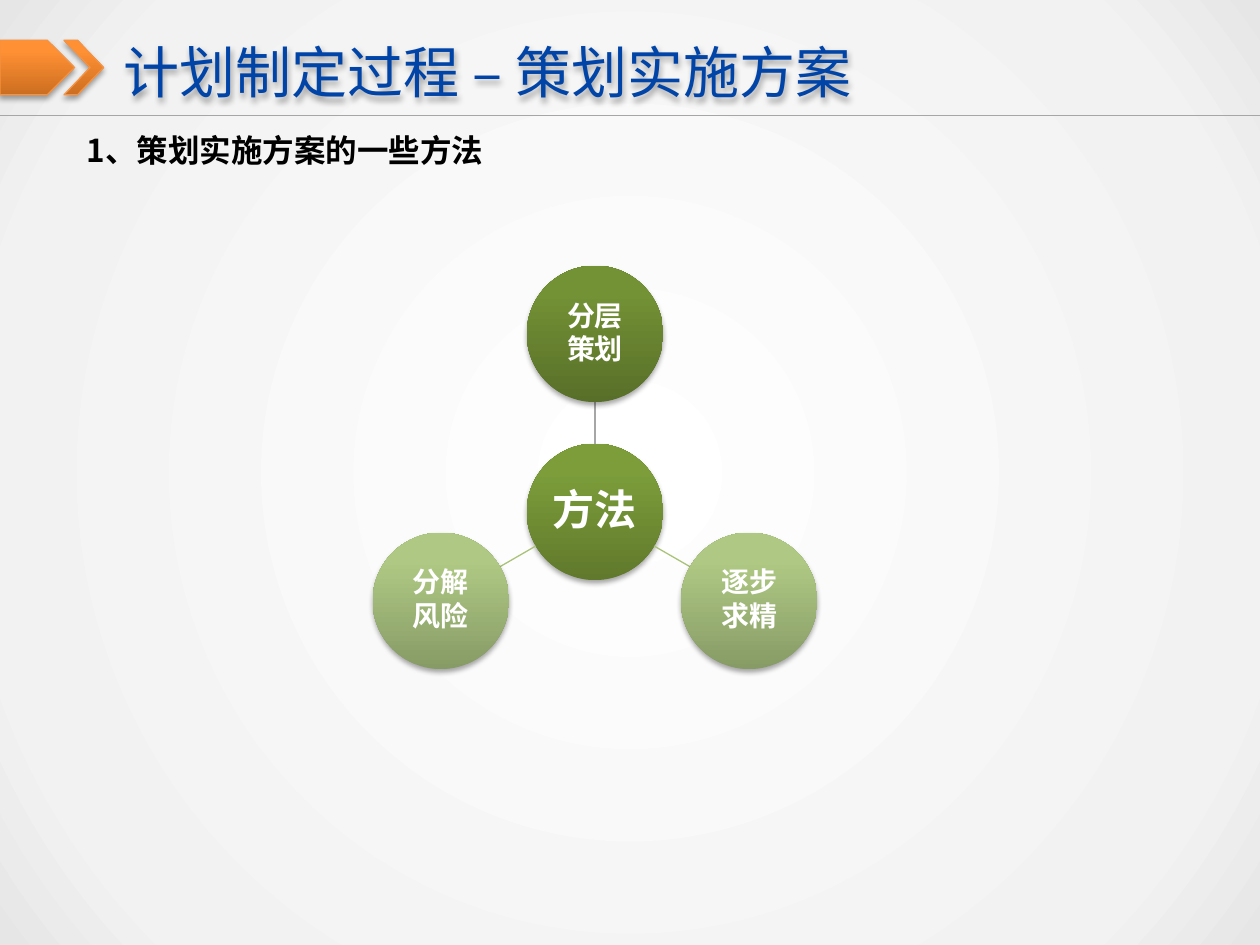
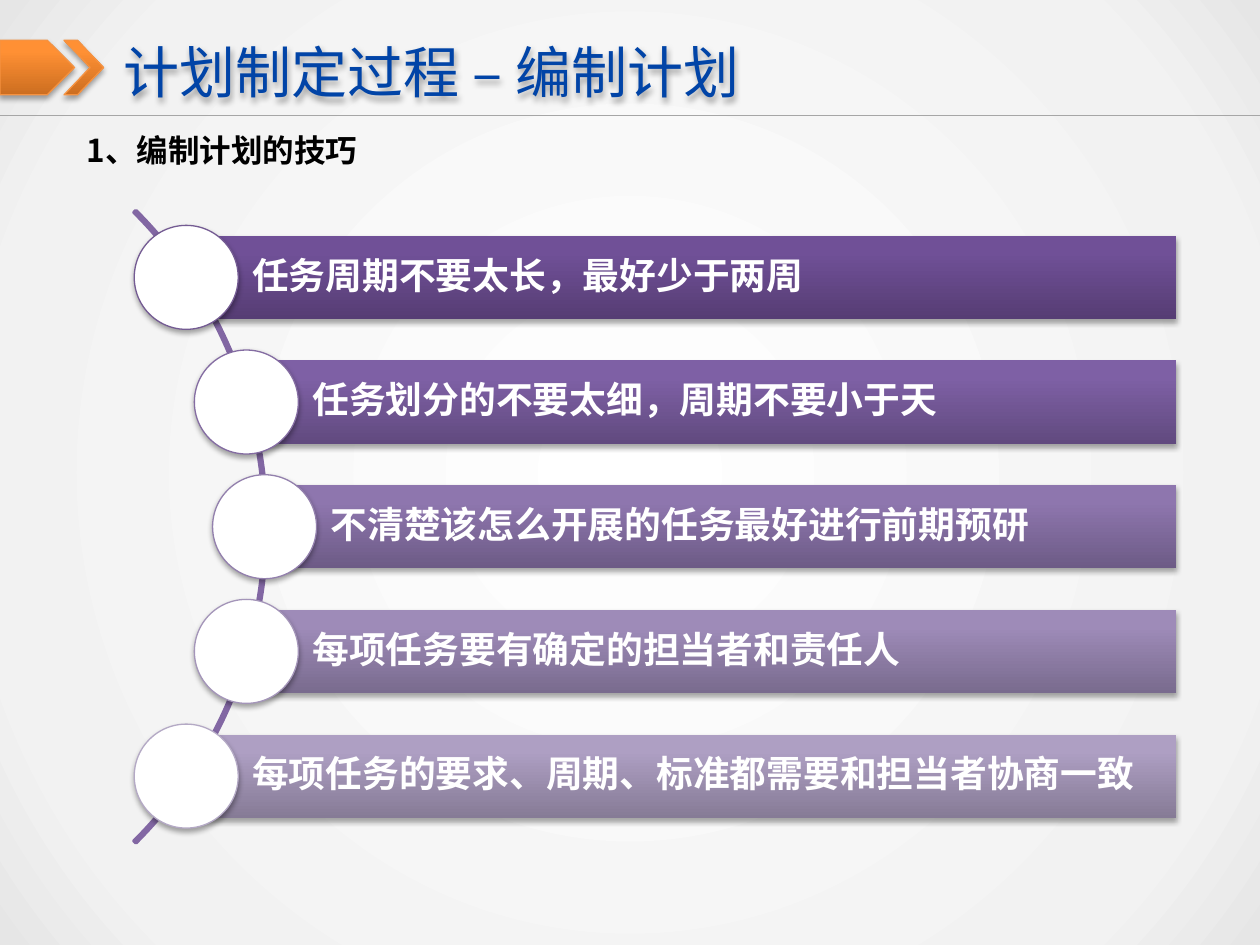
from math import cos, hypot, radians, sin, sqrt

from lxml import etree
from pptx import Presentation
from pptx.dml.color import RGBColor
from pptx.enum.shapes import MSO_CONNECTOR, MSO_SHAPE
from pptx.enum.text import MSO_ANCHOR, MSO_AUTO_SIZE, PP_ALIGN
from pptx.oxml import parse_xml
from pptx.oxml.ns import qn
from pptx.util import Pt

OVAL, RECT, ARC = MSO_SHAPE.OVAL, MSO_SHAPE.RECTANGLE, MSO_SHAPE.BLOCK_ARC
PENTAGON, CHEVRON = MSO_SHAPE.PENTAGON, MSO_SHAPE.CHEVRON
STRAIGHT = MSO_CONNECTOR.STRAIGHT
LEFT, CENTER = PP_ALIGN.LEFT, PP_ALIGN.CENTER
MIDDLE, TOP = MSO_ANCHOR.MIDDLE, MSO_ANCHOR.TOP
NO_FIT = MSO_AUTO_SIZE.NONE

NS = 'xmlns:a="http://schemas.openxmlformats.org/drawingml/2006/main"'
FONT = "Noto Sans CJK SC"
WIDTH, HEIGHT = 720, 540
BLUE, ORANGE, RULE, BLACK, WHITE = "0144A7", "F69240", "A6A6A6", "000000", "FFFFFF"
SPOKE, ARC_LINE = "A9C379", "8267A3"
# Gradient colours at 0, 80 and 100 %, from bottom to top
ORANGE_FADE = ("CC6E20", "FF9034", "FF9136")

METHODS = {
    "title": "计划制定过程 – 策划实施方案",
    "heading": "1、策划实施方案的一些方法",
    "hub": ("方法", ("60792C", "7C9D3A", "7D9F38")),
    # text, angle in degrees, gradient, spoke colour
    "satellites": [
        ("分层\n策划", -90, ("586F29", "739135", "749334"), RULE),
        ("逐步\n求精", 30, ("879B66", "AFC984", "B0CB84"), SPOKE),
        ("分解\n风险", 150, ("879B66", "AFC984", "B0CB84"), SPOKE),
    ],
}
TIPS = {
    "title": "计划制定过程 – 编制计划",
    "heading": "1、编制计划的技巧",
    # text, bar gradient, bead outline
    "bars": [
        ("任务周期不要太长，最好少于两周", ("563D74", "705097", "704F99"), "745B93"),
        ("任务划分的不要太细，周期不要小于天", ("614A7F", "7E60A5", "7F60A7"), "846CA2"),
        ("不清楚该怎么开展的任务最好进行前期预研", ("6D5B86", "8E76AE", "8E75B0"), "9380AD"),
        ("每项任务要有确定的担当者和责任人", ("796B8E", "9E8BB8", "9E8BBA"), "A495B9"),
        ("每项任务的要求、周期、标准都需要和担当者协商一致",
         ("867B96", "AE9FC3", "AE9FC4"), "B4A9C5"),
    ],
}


def rgb(color):
    return RGBColor.from_string(color)


def gradient(stops, direction):
    marks = "".join(f'<a:gs pos="{pos * 1000}"><a:srgbClr val="{color}"/></a:gs>'
                    for pos, color in stops)
    return parse_xml(f'<a:gradFill {NS} rotWithShape="1"><a:gsLst>{marks}</a:gsLst>'
                     f'{direction}</a:gradFill>')


def set_background(master):
    """Give every slide a round fade from white to light grey."""
    master.background.fill.solid()
    bg = master.element.xpath(".//p:bg/p:bgPr")[0]
    bg.replace(bg[0], gradient(
        [(0, "FFFFFF"), (82, "F2F2F2"), (100, "E6E6E6")],
        '<a:path path="circle"><a:fillToRect l="50000" t="50000" r="50000" b="50000"/></a:path>'))


def add_shadow(sp):
    sp.shadow.inherit = False
    effects = sp._element.spPr.find(qn("a:effectLst"))
    effects.append(parse_xml(
        f'<a:outerShdw {NS} blurRad="40000" dist="23000" dir="5400000" rotWithShape="0">'
        '<a:srgbClr val="000000"><a:alpha val="35000"/></a:srgbClr></a:outerShdw>'))


def write(sp, text, size, color, bold=True, align=LEFT, anchor=MIDDLE,
          insets=(7.2, 3.6, 7.2, 3.6), spacing=None, after=0):
    tf = sp.text_frame
    tf.word_wrap = True
    tf.auto_size = NO_FIT
    tf.vertical_anchor = anchor
    tf.margin_left, tf.margin_top, tf.margin_right, tf.margin_bottom = map(Pt, insets)
    for i, line in enumerate(text.split("\n")):
        p = tf.add_paragraph() if i else tf.paragraphs[0]
        p.alignment = align
        p.space_after = Pt(after)
        if spacing:
            p.line_spacing = spacing
        r = p.add_run()
        r.text = line
        r.font.name, r.font.size, r.font.bold = FONT, Pt(size), bold
        r.font.color.rgb = rgb(color)
        etree.SubElement(r._r.rPr, qn("a:ea"), typeface=FONT)


def add_shape(s, kind, x, y, w, h, fill=None, fade=None, line=None, line_width=0.75,
              shadow=True, adjust=()):
    sp = s.shapes.add_shape(kind, Pt(x), Pt(y), Pt(w), Pt(h))
    for i, value in enumerate(adjust):
        sp.adjustments[i] = value
    if fill or fade:
        sp.fill.solid()
        sp.fill.fore_color.rgb = rgb(fill or fade[0])
    else:
        sp.fill.background()
    if fade:
        spPr = sp._element.spPr
        spPr.replace(spPr.find(qn("a:solidFill")),
                     gradient(zip((0, 80, 100), fade), '<a:lin ang="16200000" scaled="0"/>'))
    if line:
        sp.line.color.rgb = rgb(line)
        sp.line.width = Pt(line_width)
    else:
        sp.line.fill.background()
    if shadow:
        add_shadow(sp)
    else:
        sp.shadow.inherit = False
    return sp


def add_circle(s, cx, cy, diameter, **style):
    return add_shape(s, OVAL, cx - diameter / 2, cy - diameter / 2, diameter, diameter, **style)


def add_line(s, x1, y1, x2, y2, color):
    cx = s.shapes.add_connector(STRAIGHT, Pt(x1), Pt(y1), Pt(x2), Pt(y2))
    cx.line.color.rgb = rgb(color)
    cx.line.width = Pt(0.75)
    etree.SubElement(cx._element.spPr, qn("a:effectLst"))


def add_page(prs, content):
    """Add a slide with its title, arrow band, rule and heading."""
    s = prs.slides.add_slide(prs.slide_layouts[5])
    title = s.shapes.title
    title.left, title.top, title.width, title.height = map(Pt, (70.8, 15, 635, 51))
    write(title, content["title"], 32, BLUE, bold=False, insets=(0, 3.6, 0, 3.6))
    add_shadow(title)
    add_shape(s, PENTAGON, 0, 23, 42.6, 31.2, fade=ORANGE_FADE, line=ORANGE)
    add_shape(s, CHEVRON, 36.6, 23, 22.6, 31.2, fade=ORANGE_FADE, line=ORANGE, adjust=[0.66])
    add_line(s, 0, 66, WIDTH, 66, RULE)
    heading = s.shapes.add_textbox(Pt(42.5), Pt(71.3), Pt(595), Pt(29))
    write(heading, content["heading"], 18, BLACK, anchor=TOP)
    return s


def add_methods(prs):
    s = add_page(prs, METHODS)
    hub_x, hub_y, diameter, orbit = 340, 292.5, 78, 101.7
    label = dict(color=WHITE, align=CENTER, insets=(1, 1, 1, 1), spacing=0.9, after=2)
    text, fade = METHODS["hub"]
    write(add_circle(s, hub_x, hub_y, diameter, fade=fade), text, 24, **label)
    for text, angle, fade, spoke in METHODS["satellites"]:
        dx, dy = cos(radians(angle)), sin(radians(angle))
        near, far = diameter / 2, orbit - diameter / 2
        add_line(s, hub_x + near * dx, hub_y + near * dy,
                 hub_x + far * dx, hub_y + far * dy, spoke)
        sp = add_circle(s, hub_x + orbit * dx, hub_y + orbit * dy, diameter, fade=fade)
        write(sp, text, 16, **label)


def add_tips(prs):
    s = add_page(prs, TIPS)
    mid_y, step, bar_height, bar_right, bead = 301, 71.25, 47.5, 672, 59.4
    arc_size = 511
    add_shape(s, ARC, -358.5, mid_y - arc_size / 2, arc_size, arc_size, line=ARC_LINE,
              line_width=2, shadow=False, adjust=[189, 27, 0.003])
    # Bead centres lie on a circle of their own
    bead_origin, bead_radius = -98, 249.2
    for i, (text, fade, outline) in enumerate(TIPS["bars"]):
        dy = (i - (len(TIPS["bars"]) - 1) / 2) * step
        x, y = bead_origin + sqrt(bead_radius ** 2 - dy ** 2), mid_y + dy
        bar = add_shape(s, RECT, x, y - bar_height / 2, bar_right - x, bar_height, fade=fade)
        write(bar, text, 21, WHITE, insets=(37.7, 4.3, 4.3, 4.3), spacing=0.9, after=2)
        add_circle(s, x, y, bead, fill=WHITE, line=outline)


def main():
    prs = Presentation()
    prs.slide_width, prs.slide_height = Pt(WIDTH), Pt(HEIGHT)
    set_background(prs.slide_master)
    add_methods(prs)
    add_tips(prs)
    prs.save("out.pptx")


if __name__ == "__main__":
    main()
